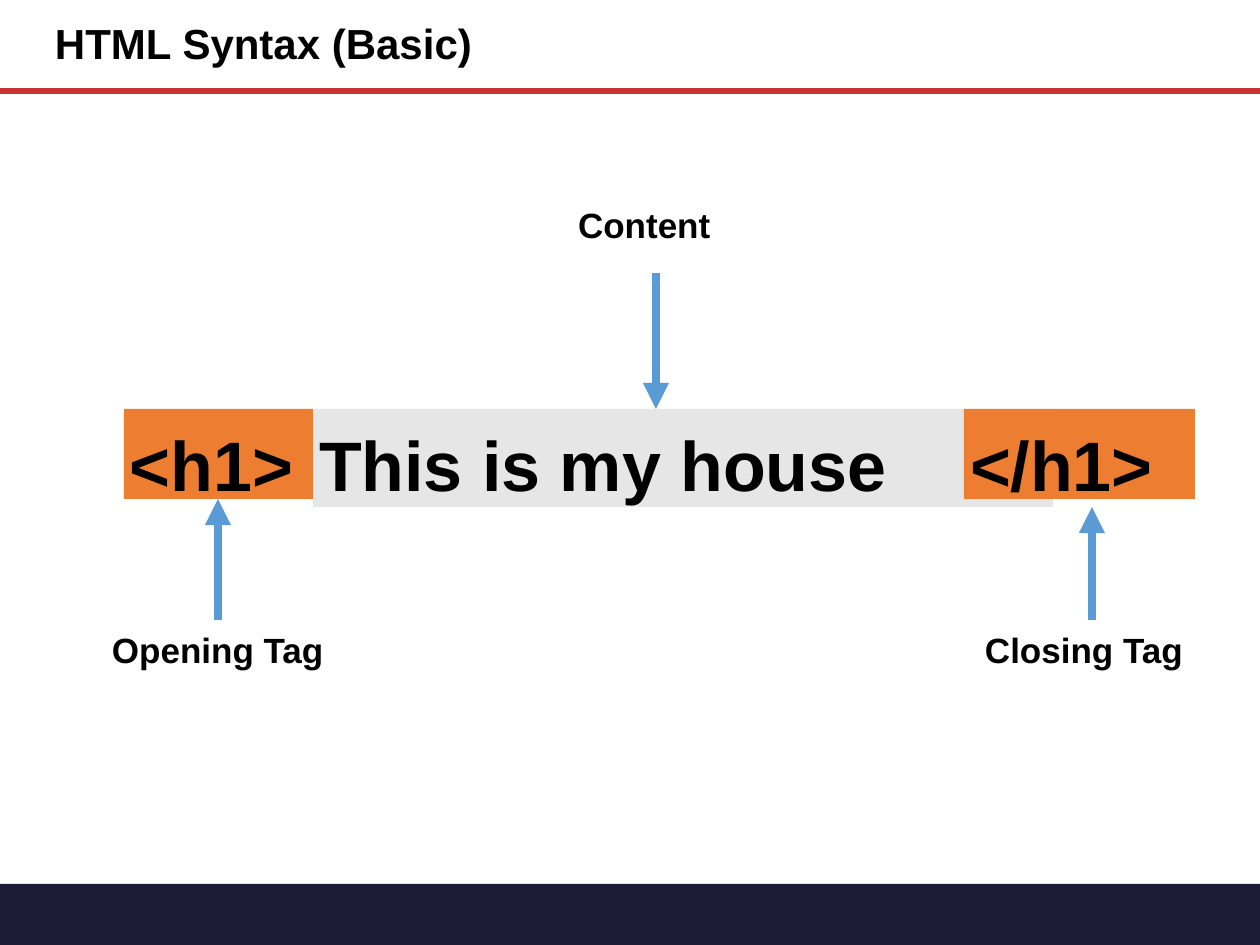
"""Builds a slide that labels the parts of a basic HTML element."""
from dataclasses import dataclass

from lxml.etree import SubElement
from pptx import Presentation
from pptx.dml.color import RGBColor
from pptx.enum.shapes import MSO_CONNECTOR, MSO_SHAPE
from pptx.enum.text import MSO_ANCHOR
from pptx.oxml.ns import qn
from pptx.util import Pt

PX = 914400 // 126


@dataclass(frozen=True)
class Theme:
    font: str = "Arial"
    text: str = "000000"
    tag: str = "ED7D31"
    content: str = "E7E6E6"
    arrow: str = "5B9BD5"
    rule: str = "C83232"
    footer: str = "1D1A36"
    title_size: int = 24
    code_size: int = 40
    label_size: int = 20
    rule_width: float = 3.25
    arrow_width: float = 5


THEME = Theme()
WIDTH, HEIGHT = 1260, 945
RULE_Y = 91
TITLE = ("HTML Syntax (Basic)", (42, 0, 945, RULE_Y))
FOOTER = (0, 884, 1261, 63)
CODE_TOP = 409
CODE = [
    ("<h1>", 124, 189, 90, THEME.tag),
    ("This is my house", 313, 740, 98, THEME.content),
    ("</h1>", 964, 231, 90, THEME.tag),
]
LABEL_HEIGHT = 52
LABELS = [
    ("Opening Tag", 106, 620, 225),
    ("Closing Tag", 979, 620, 211),
    ("Content", 572, 195, 157),
]
ARROWS = [(218, 620, 499), (1092, 620, 507), (656, 273, CODE_TOP)]


def emu(*lengths):
    return [length * PX for length in lengths]


def color(value):
    return RGBColor.from_string(value)


def add_block(slide, box, fill):
    shape = slide.shapes.add_shape(MSO_SHAPE.RECTANGLE, *emu(*box))
    shape.shadow.inherit = False
    shape.fill.solid()
    shape.fill.fore_color.rgb = color(fill)
    shape.line.fill.background()
    return shape


def write(shape, text, size, insets, wrap=True, anchor=MSO_ANCHOR.TOP):
    frame = shape.text_frame
    frame.word_wrap = wrap
    frame.vertical_anchor = anchor
    (frame.margin_left, frame.margin_top,
     frame.margin_right, frame.margin_bottom) = emu(*insets)
    paragraph = frame.paragraphs[0]
    paragraph.text = text
    paragraph.alignment = 1
    font = paragraph.font
    font.name, font.size, font.bold = THEME.font, Pt(size), True
    font.color.rgb = color(THEME.text)
    return paragraph


def add_line(slide, start, end, stroke, width, arrow=False):
    line = slide.shapes.add_connector(MSO_CONNECTOR.STRAIGHT, *emu(*start, *end))
    line.line.color.rgb = color(stroke)
    line.line.width = Pt(width)
    if arrow:
        SubElement(line.line._get_or_add_ln(), qn("a:tailEnd"), type="triangle")
    SubElement(line._element.spPr, qn("a:effectLst"))


def main():
    presentation = Presentation()
    presentation.slide_width, presentation.slide_height = emu(WIDTH, HEIGHT)
    slide = presentation.slides.add_slide(presentation.slide_layouts[6])

    add_block(slide, FOOTER, THEME.footer)
    add_line(slide, (0, RULE_Y), (WIDTH, RULE_Y), THEME.rule, THEME.rule_width)
    title, box = TITLE
    heading = write(slide.shapes.add_textbox(*emu(*box)), title,
                    THEME.title_size, (13, 6, 13, 6), anchor=MSO_ANCHOR.MIDDLE)
    heading.line_spacing = 0.9

    for text, left, width, height, fill in CODE:
        block = add_block(slide, (left, CODE_TOP, width, height), fill)
        write(block, text, THEME.code_size, (6, 13, 6, 0))
    for text, left, top, width in LABELS:
        label = slide.shapes.add_textbox(*emu(left, top, width, LABEL_HEIGHT))
        write(label, text, THEME.label_size, (6, 9, 6, 0), wrap=False)
    for x, start, end in ARROWS:
        add_line(slide, (x, start), (x, end), THEME.arrow, THEME.arrow_width, True)

    presentation.save("out.pptx")


if __name__ == "__main__":
    main()
